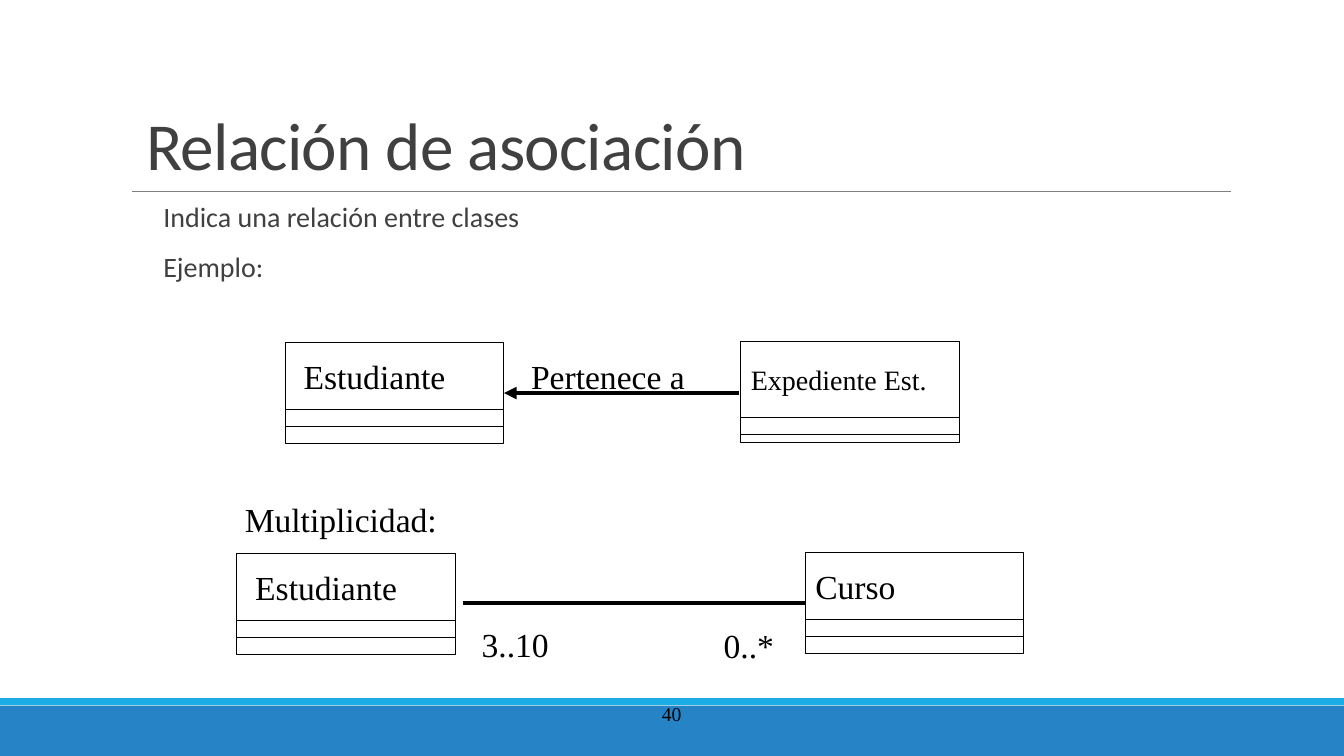
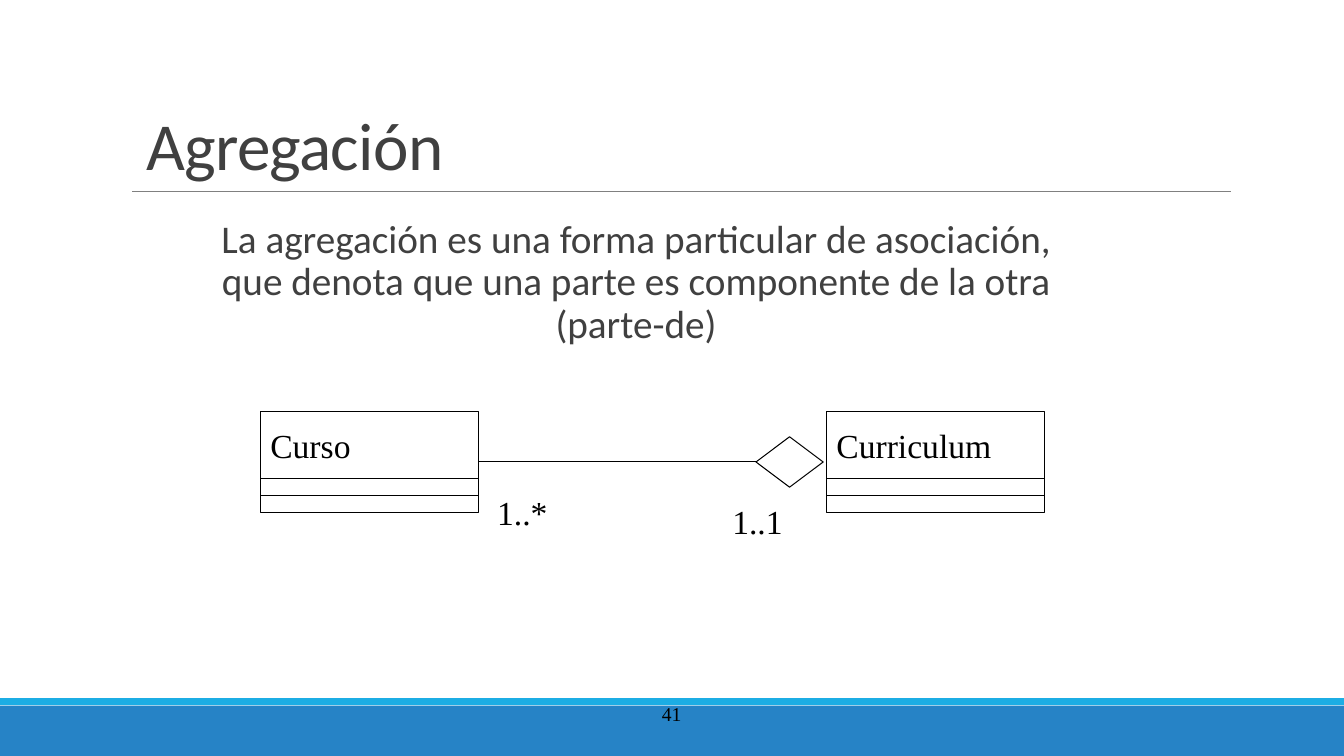
"""Build two slides on association and aggregation between classes."""
from lxml.etree import SubElement
from pptx import Presentation
from pptx.dml.color import RGBColor
from pptx.enum.shapes import MSO_CONNECTOR, MSO_SHAPE
from pptx.enum.text import MSO_ANCHOR, MSO_AUTO_SIZE, PP_ALIGN
from pptx.oxml.ns import qn
from pptx.util import Pt

BLUE = RGBColor(0x26, 0x83, 0xC6)
CYAN = RGBColor(0x1C, 0xAD, 0xE4)
GRAY = RGBColor(0x80, 0x80, 0x80)
DARK = RGBColor(0x40, 0x40, 0x40)
BLACK = RGBColor(0, 0, 0)
WHITE = RGBColor(255, 255, 255)
SANS, SERIF = "Calibri", "Times New Roman"
WIDE, HIGH = 960, 540
BOX_W, BOX_H = 156, 72

TITLE = {"size": 48, "name": SANS, "color": DARK, "space": 0.85, "track": "-50"}
BODY = {"name": SANS, "color": DARK, "space": 0.9}
LABEL = {"size": 24, "name": SERIF, "color": BLACK}
NUMBER = {"size": 14, "name": SERIF, "color": BLACK}


def write(shape, lines, style, align=PP_ALIGN.LEFT, anchor=MSO_ANCHOR.TOP, side=7.2):
    frame = shape.text_frame
    layout = {"word_wrap": True, "auto_size": MSO_AUTO_SIZE.NONE,
              "vertical_anchor": anchor, "margin_left": Pt(side),
              "margin_right": Pt(side), "margin_top": Pt(3.6),
              "margin_bottom": Pt(3.6)}
    for key, value in layout.items():
        setattr(frame, key, value)
    for index, line in enumerate(lines):
        para = frame.add_paragraph() if index else frame.paragraphs[0]
        gaps = {"alignment": align, "line_spacing": style.get("space", 1),
                "space_before": Pt(12 if index else 0),
                "space_after": Pt(2 if len(lines) > 1 else 0)}
        for key, value in gaps.items():
            setattr(para, key, value)
        run = para.add_run()
        run.text = line
        run.font.size, run.font.name = Pt(style["size"]), style["name"]
        run.font.color.rgb = style["color"]
        if "track" in style:
            run.font._element.set("spc", style["track"])


def rule(slide, start, end, y, width=0.75, color=BLACK, arrow=False):
    line = slide.shapes.add_connector(
        MSO_CONNECTOR.STRAIGHT, Pt(start), Pt(y), Pt(end), Pt(y))
    line.line.color.rgb = color
    line.line.width = Pt(width)
    if arrow:
        SubElement(line.line._get_or_add_ln(), qn("a:tailEnd"), type="triangle")
    SubElement(line._element.spPr, qn("a:effectLst"))


SLIDES = [
    {
        "title": "Relación de asociación",
        "number": "40",
        "body": ["Indica una relación entre clases", "Ejemplo:"],
        "place": (116.64, 141.84, 653.76, 102.24),
        "size": 20,
        "align": PP_ALIGN.LEFT,
        "classes": [
            (203.76, 244.8, "Estudiante", 6, 6, 24, 48),
            (529.2, 244.08, "Expediente Est.", 0, 11.5, 20, 54),
            (169.2, 395.28, "Estudiante", 6, 6, 24, 48),
            (575.28, 394.56, "Curso", 0, 6, 24, 48),
        ],
        "links": [(528, 360, 280.8, 3, BLACK, True), (330.5, 576, 430.56, 3)],
        "labels": [
            ("Pertenece a", 372.24, 250.56, 144),
            ("Multiplicidad:", 167.76, 352.8, 162),
            ("3..10", 336.96, 442.08, 78),
            ("0..*", 509.76, 442.8, 60),
        ],
        "diamonds": [],
    },
    {
        "title": "Agregación",
        "number": "41",
        "body": ["La agregación es una forma particular de asociación, que denota "
                 "que una parte es componente de la otra (parte-de)"],
        "place": (148.32, 153.36, 612, 131.76),
        "size": 28,
        "align": PP_ALIGN.CENTER,
        "classes": [
            (186, 294, "Curso", 0, 6, 24, 48),
            (590.4, 294, "Curriculum", 0, 6, 24, 48),
        ],
        "links": [(342, 540, 330)],
        "labels": [("1..*", 348, 348, 78), ("1..1", 516, 354, 66)],
        "diamonds": [(540, 312, 48, 36)],
    },
]

prs = Presentation()
prs.slide_width, prs.slide_height = Pt(WIDE), Pt(HIGH)

for data in SLIDES:
    slide = prs.slides.add_slide(prs.slide_layouts[5])
    title = slide.shapes.title
    spots = {"left": 97.2, "top": 57.6, "width": 612, "height": 77.76}
    for key, value in spots.items():
        setattr(title, key, Pt(value))
    write(title, [data["title"]], TITLE, anchor=MSO_ANCHOR.BOTTOM)

    solids = [(MSO_SHAPE.RECTANGLE, (0, 504, WIDE, 36), BLUE, False),
              (MSO_SHAPE.RECTANGLE, (0, 498.7, WIDE, 5), CYAN, False)]
    solids += [(MSO_SHAPE.RECTANGLE, (x, y, BOX_W, BOX_H), WHITE, True)
               for x, y, *rest in data["classes"]]
    solids += [(MSO_SHAPE.DIAMOND, place, WHITE, True) for place in data["diamonds"]]
    for kind, place, fill, edge in solids:
        shape = slide.shapes.add_shape(kind, *map(Pt, place))
        shape.shadow.inherit = False
        shape.fill.solid()
        shape.fill.fore_color.rgb = fill
        if edge:
            shape.line.color.rgb = BLACK
            shape.line.width = Pt(0.75)
        else:
            shape.line.fill.background()

    rule(slide, 94.32, 879.12, 136.8, 0.5, GRAY)
    for link in data["links"]:
        rule(slide, *link)

    body = slide.shapes.add_textbox(*map(Pt, data["place"]))
    write(body, data["body"], {**BODY, "size": data["size"]}, data["align"], side=0)
    page = slide.shapes.add_textbox(Pt(365.76), Pt(491.76), Pt(228), Pt(36))
    write(page, [data["number"]], NUMBER, PP_ALIGN.CENTER, MSO_ANCHOR.MIDDLE)

    for x, y, name, dx, dy, size, split in data["classes"]:
        for step in (split, split + 12):
            rule(slide, x, x + BOX_W, y + step)
        text = slide.shapes.add_textbox(Pt(x + dx), Pt(y + dy), Pt(150), Pt(36))
        write(text, [name], {**LABEL, "size": size})

    for name, x, y, width in data["labels"]:
        text = slide.shapes.add_textbox(Pt(x), Pt(y), Pt(width), Pt(36))
        write(text, [name], LABEL)

prs.save("out.pptx")
